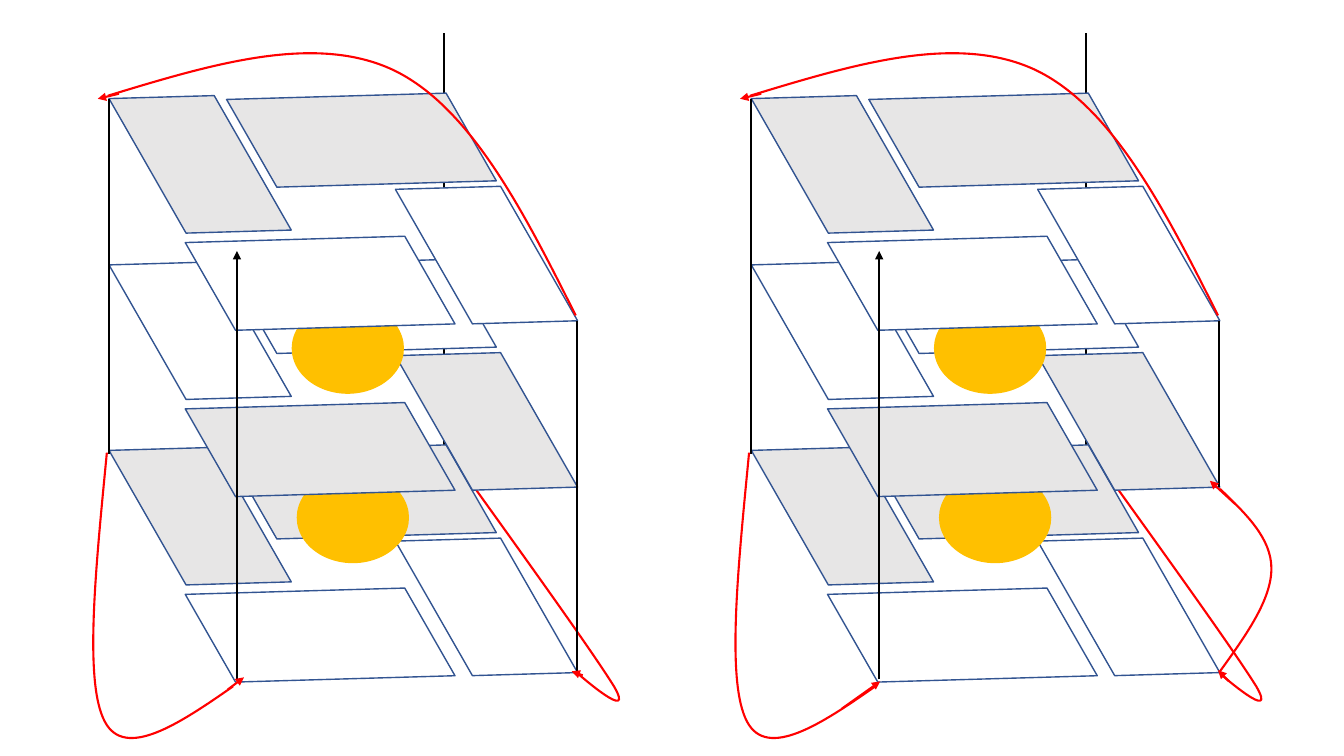
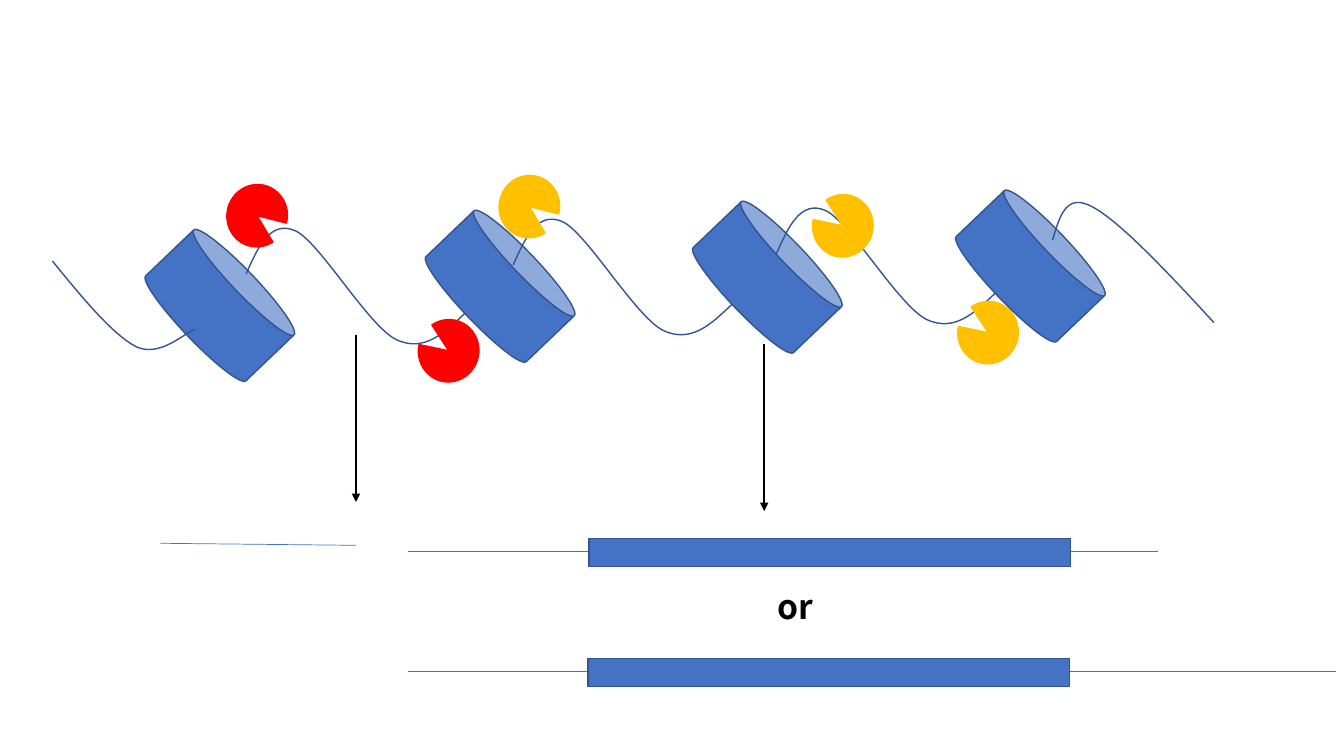
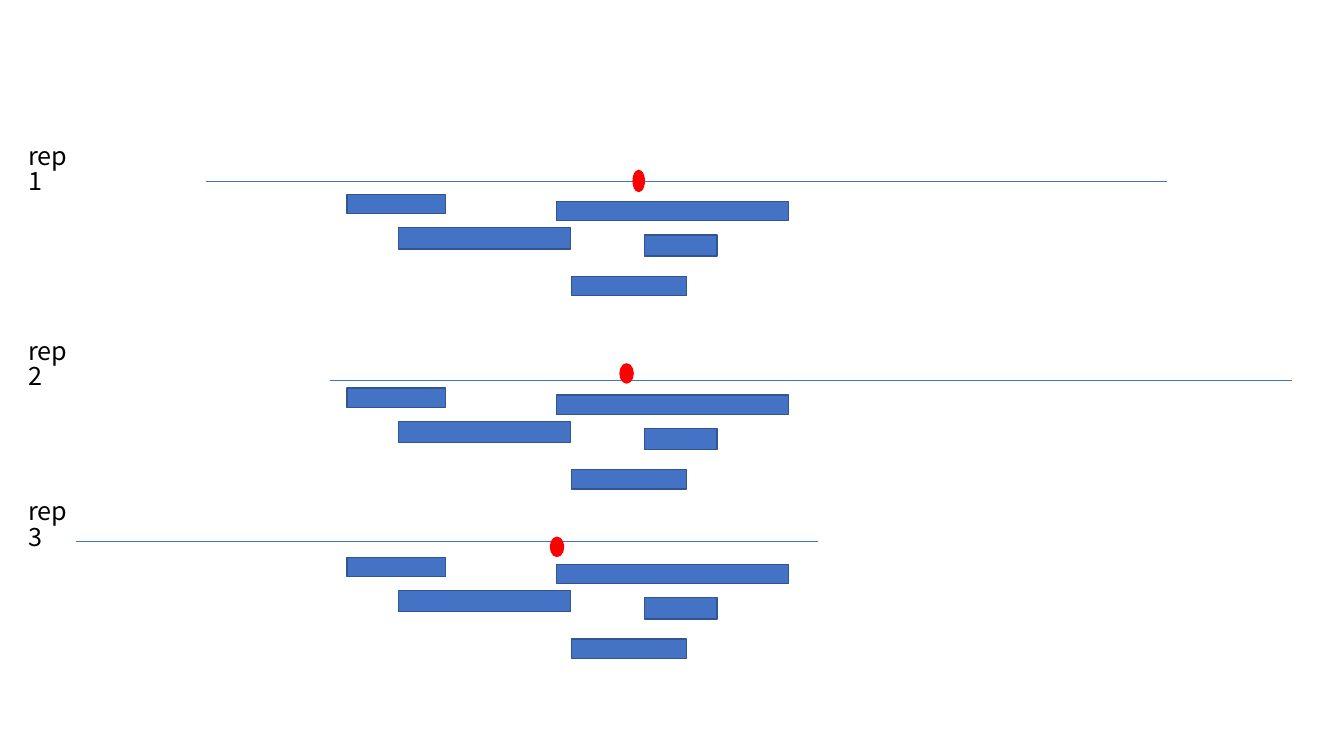
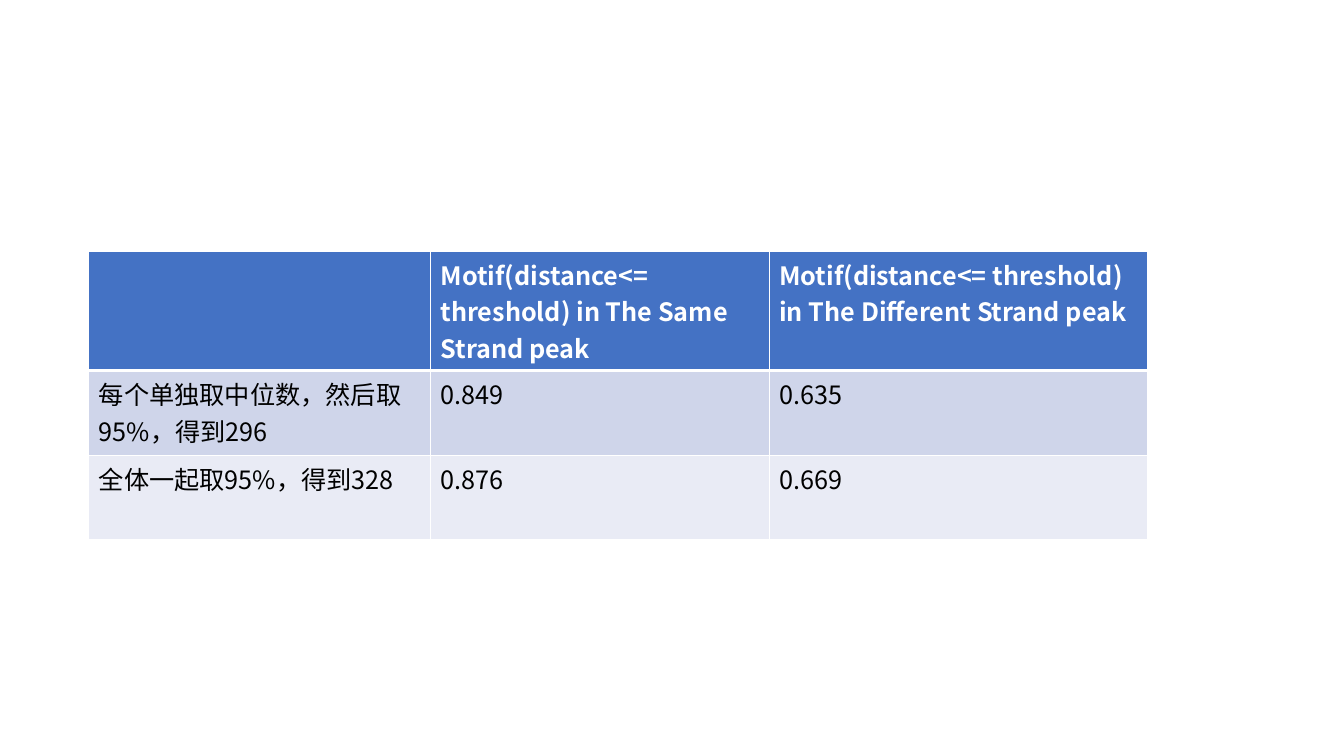
from lxml.etree import SubElement
from pptx import Presentation
from pptx.dml.color import RGBColor
from pptx.enum.shapes import MSO_CONNECTOR, MSO_SHAPE
from pptx.oxml.ns import qn
from pptx.util import Emu, Pt

FONT = "Noto Sans CJK SC"
BLACK, WHITE, GREY = "000000", "FFFFFF", "E7E6E6"
RED, GOLD, BLUE, NAVY = "FF0000", "FFC000", "4472C4", "325491"
BAND_DARK, BAND_LIGHT = "CFD5EA", "E9EBF5"
CURVE_STEPS = 40

FLOORS = [(349, GREY, WHITE, (295, 469)), (165, WHITE, GREY, (290, 301)), (0, GREY, WHITE, None)]
STRAND = [(0, 0), (12, -27), (24, -54), (49, -43), (73, -32), (121, 51),
          (149, 65), (177, 78), (197, 58), (217, 39)]
BARS = [(0, 0, 98, 19), (51, 33, 171, 21), (208, 7, 230, 19), (295, 40, 72, 21), (223, 81, 114, 19)]


def px(value):
    """Turn px, 100 to the inch, into EMU."""
    return Emu(round(value * 9144))


def color(value):
    """Turn a hex string into a colour."""
    return RGBColor.from_string(value)


def style_text(paragraph, size, text_color, bold=False):
    """Format every run of a paragraph."""
    for run in paragraph.runs:
        run.font.name = FONT
        run.font.size = Pt(size)
        run.font.bold = bold
        run.font.color.rgb = color(text_color)
        SubElement(run.font._element, qn("a:ea"), typeface=FONT)


def add_preset(slide, kind, box, fill, outline, rotation=0, adjustments=()):
    """Draw a preset shape with a flat fill and a thin outline."""
    shape = slide.shapes.add_shape(kind, *map(px, box))
    shape.shadow.inherit = False
    shape.fill.solid()
    shape.fill.fore_color.rgb = color(fill)
    shape.line.color.rgb = color(outline)
    shape.line.width = Pt(1)
    shape.rotation = rotation
    for index, value in enumerate(adjustments):
        shape.adjustments[index] = value


def add_line(slide, start, end, line_color=BLACK, width=1.5, arrow=False):
    """Draw a straight line, with an arrowhead at its end if asked."""
    connector = slide.shapes.add_connector(MSO_CONNECTOR.STRAIGHT, *map(px, (*start, *end)))
    connector.line.color.rgb = color(line_color)
    connector.line.width = Pt(width)
    if arrow:
        SubElement(connector.line._get_or_add_ln(), qn("a:tailEnd"), type="triangle")
    SubElement(connector._element.spPr, qn("a:effectLst"))


def bezier_point(corners, t):
    """Find the point at t on a cubic curve."""
    weights = ((1 - t) ** 3, 3 * t * (1 - t) ** 2, 3 * t ** 2 * (1 - t), t ** 3)
    return tuple(round(sum(w * corner[axis] for w, corner in zip(weights, corners))) for axis in (0, 1))


def add_curve(slide, points, line_color=RED, width=1.5, origin=(0, 0)):
    """Draw joined cubic curves from a start point and triples of points."""
    points = [(px(origin[0] + x), px(origin[1] + y)) for x, y in points]
    samples = [bezier_point(points[first:first + 4], step / CURVE_STEPS)
               for first in range(0, len(points) - 1, 3) for step in range(1, CURVE_STEPS + 1)]
    builder = slide.shapes.build_freeform(*points[0], scale=1.0)
    builder.add_line_segments(samples, close=False)
    shape = builder.convert_to_shape()
    outline = next(shape._element.iter(qn("a:path")))
    for child in list(outline):
        outline.remove(child)
    commands = [("a:moveTo", points[:1])]
    commands += [("a:cubicBezTo", points[i:i + 3]) for i in range(1, len(points), 3)]
    for tag, corners in commands:
        command = SubElement(outline, qn(tag))
        for x, y in corners:
            SubElement(command, qn("a:pt"), x=str(x - shape.left), y=str(y - shape.top))
    shape.fill.background()
    shape.line.color.rgb = color(line_color)
    shape.line.width = Pt(width)
    shape.shadow.inherit = False


def add_label(slide, box, text, size, bold=False):
    """Write a short black label."""
    frame = slide.shapes.add_textbox(*map(px, box)).text_frame
    frame.word_wrap = True
    frame.text = text
    paragraph = frame.paragraphs[0]
    paragraph.line_spacing = 0.83
    style_text(paragraph, size, BLACK, bold)


def add_floor(slide, left, top, back_fill, front_fill):
    """Draw the four slanted tiles of one floor."""
    tiles = [(257, 43, 203, 192, back_fill), (216, 185, 203, 192, front_fill),
             (381, 207, 203, 92, front_fill), (97, 117, 203, 92, back_fill)]
    for x, y, width, height, fill in tiles:
        add_preset(slide, MSO_SHAPE.PARALLELOGRAM, (left + x, top + y, width, height),
                   fill, NAVY, 240.2, [0.535])


def add_stack(slide, left, post_bottom, arrows, extra_curve=None):
    """Draw a stack of three floors with its posts and red loops."""
    origin = (left, 0)
    add_curve(slide, [(442, 444), (514, 544), (586, 644), (609, 681), (631, 719), (574, 669), (574, 669)],
              origin=origin)
    add_line(slide, (left + 440, 33), (left + 440, 529), arrow=True)
    for top, back_fill, front_fill, ball in FLOORS:
        add_floor(slide, left, top, back_fill, front_fill)
        if ball:
            add_preset(slide, MSO_SHAPE.OVAL, (left + ball[0], ball[1], 110, 89), GOLD, GOLD)
    add_line(slide, (left + 572, 318), (left + 572, post_bottom))
    add_line(slide, (left + 108, 98), (left + 108, 450))
    add_line(slide, (left + 235, 674), (left + 235, 249), arrow=True)
    add_curve(slide, [(106, 449), (95, 563), (83, 677), (104, 716), (124, 754), (178, 718), (231, 681)],
              origin=origin)
    add_curve(slide, [(571, 313), (519, 209), (466, 105), (389, 69), (311, 33), (209, 64), (107, 95)],
              origin=origin)
    if extra_curve:
        add_curve(slide, extra_curve, origin=origin)
    for x1, y1, x2, y2 in [(118, 93, 97, 98), *arrows]:
        add_line(slide, (left + x1, y1), (left + x2, y2), RED, arrow=True)


def build_stacks(slide):
    """Draw the two stacks side by side."""
    add_stack(slide, 0, 670, [(226, 684, 242, 672), (578, 670, 567, 666)])
    add_stack(slide, 637, 483, [(198, 703, 236, 676), (582, 676, 571, 665), (588, 500, 563, 477)],
              [(573, 666), (599, 630), (624, 595), (624, 564), (624, 534), (599, 510), (573, 485)])


def add_fragment(slide, left, top, line_end):
    """Draw a strand with a wide block on it."""
    add_line(slide, (405, top + 13), (line_end, top + 13), BLUE, 0.5)
    add_preset(slide, MSO_SHAPE.RECTANGLE, (left, top, 478, 28), BLUE, NAVY)


def build_beads(slide):
    """Draw cans on a strand, the cutters and the resulting fragments."""
    cans = [(146, 259), (424, 240), (689, 231), (950, 220)]
    strand_starts = [(244, 272), (509, 263), (770, 252)]
    for index, (left, top) in enumerate(cans):
        add_preset(slide, MSO_SHAPE.CAN, (left, top, 144, 88), BLUE, NAVY, 46.3)
        if index == 0:
            add_curve(slide, [(52, 259), (82, 296), (112, 332), (135, 344), (159, 355), (183, 330), (193, 327)],
                      NAVY, 1)
        if index < len(strand_starts):
            add_curve(slide, STRAND, NAVY, 1, strand_starts[index])
    add_curve(slide, [(1044, 238), (1051, 215), (1057, 191), (1083, 205), (1110, 219), (1157, 269), (1204, 320)],
              NAVY, 1)
    cutters = [(224, 184, 104, RED), (414, 318, 281.8, RED), (494, 175, 104, GOLD),
               (949, 300, 281.8, GOLD), (805, 194, 281.8, GOLD)]
    for left, top, rotation, fill in cutters:
        add_preset(slide, MSO_SHAPE.PIE, (left, top, 62, 60), fill, fill, rotation, [189.136, 162])
    for x, top in [(353, 332), (758, 341)]:
        add_line(slide, (x, top), (x, top + 166), arrow=True)
    add_line(slide, (159, 539), (353, 541), BLUE, 0.5)
    add_label(slide, (761, 583, 61, 50), "or", 24, True)
    add_fragment(slide, 584, 534, 1149)
    add_fragment(slide, 583, 653, 1325)


def add_replicate(slide, label, label_top, line, dot, bars_top):
    """Draw one replicate: label, strand, summit dot and bars."""
    start, end, line_top = line
    add_line(slide, (start, line_top), (end, line_top), BLUE, 0.5)
    add_preset(slide, MSO_SHAPE.FLOWCHART_CONNECTOR, dot, RED, RED)
    for x, y, width, height in BARS:
        add_preset(slide, MSO_SHAPE.RECTANGLE, (344 + x, bars_top + y, width, height), BLUE, NAVY)
    add_label(slide, (18, label_top, 70, 40), label, 18)


def build_replicates(slide):
    """Draw the three replicates."""
    add_replicate(slide, "rep1", 139, (204, 1157, 180), (628, 169, 11, 21), 193)
    add_replicate(slide, "rep2", 333, (327, 1281, 377), (615, 361, 13, 19), 385)
    add_replicate(slide, "rep3", 492, (75, 811, 537), (546, 533, 13, 19), 553)


def style_cell(cell, fill, text_color, is_header, below_header):
    """Give a cell white borders, a fill and formatted text."""
    widths = {"a:lnL": 1, "a:lnR": 1, "a:lnT": 3 if below_header else 1, "a:lnB": 3 if is_header else 1}
    for tag, width in widths.items():
        border = SubElement(cell._tc.get_or_add_tcPr(), qn(tag), w=str(Pt(width)))
        SubElement(SubElement(border, qn("a:solidFill")), qn("a:srgbClr"), val=WHITE)
    cell.fill.solid()
    cell.fill.fore_color.rgb = color(fill)
    style_text(cell.text_frame.paragraphs[0], 18, text_color, is_header)


def build_table(slide):
    """Place the table of motif shares."""
    rows = [
        ["", "Motif(distance<= threshold) in The Same Strand peak",
         "Motif(distance<= threshold) in The Different Strand peak"],
        ["每个单独取中位数，然后取95%，得到296", "0.849", "0.635"],
        ["全体一起取95%，得到328", "0.876", "0.669"],
    ]
    column_widths = [339, 336, 375]
    table = slide.shapes.add_table(3, 3, px(88), px(249), px(sum(column_widths)), px(3 * 84)).table
    for column, width in zip(table.columns, column_widths):
        column.width = px(width)
    fills = [BLUE, BAND_DARK, BAND_LIGHT]
    for row_index, (texts, fill) in enumerate(zip(rows, fills)):
        for column_index, text in enumerate(texts):
            cell = table.cell(row_index, column_index)
            cell.text_frame.text = text
            style_cell(cell, fill, BLACK if row_index else WHITE, row_index == 0, row_index == 1)


def main():
    """Build and save the presentation."""
    presentation = Presentation()
    presentation.slide_width, presentation.slide_height = px(1333), px(750)
    for build in (build_stacks, build_beads, build_replicates, build_table):
        build(presentation.slides.add_slide(presentation.slide_layouts[6]))
    presentation.save("out.pptx")


if __name__ == "__main__":
    main()
